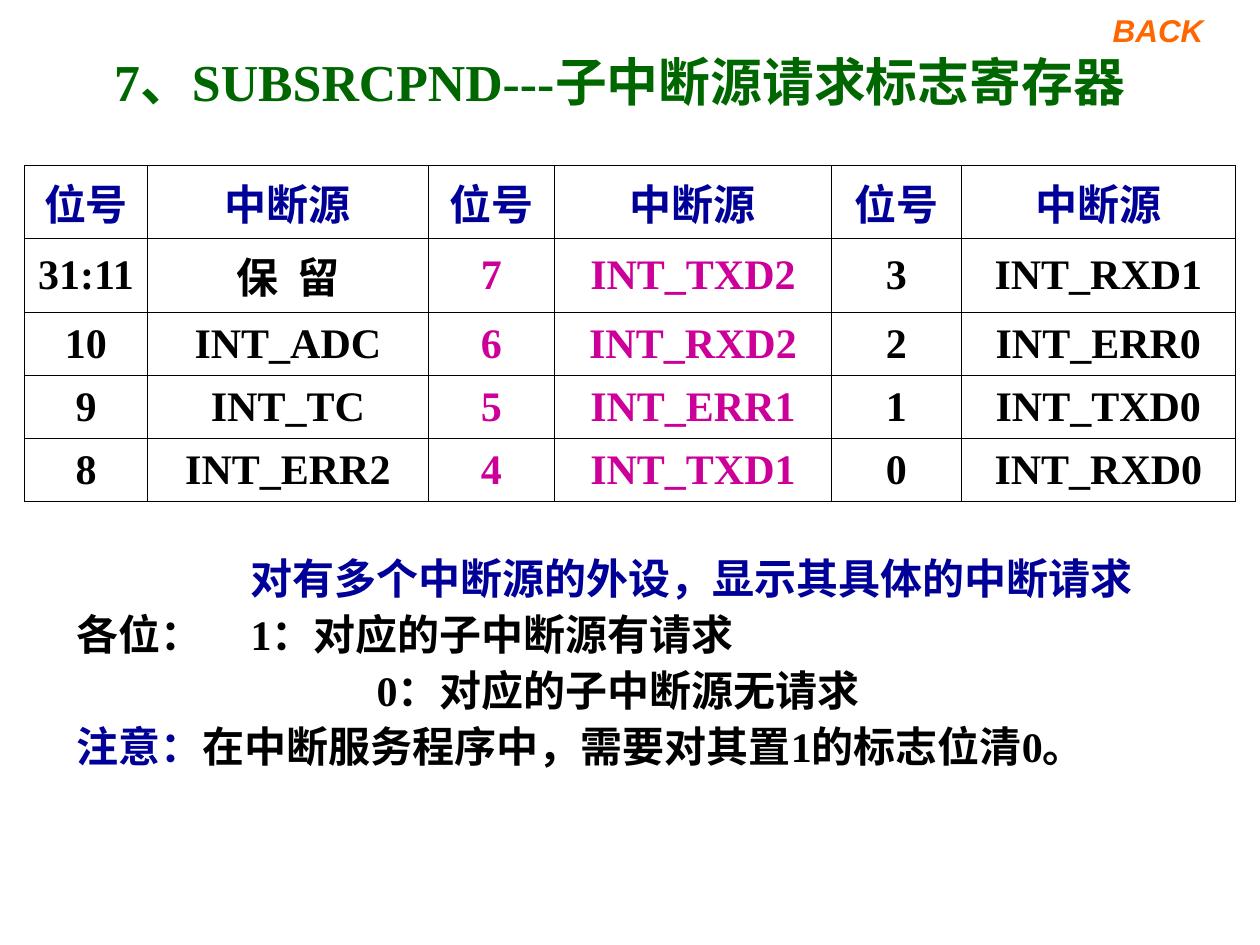
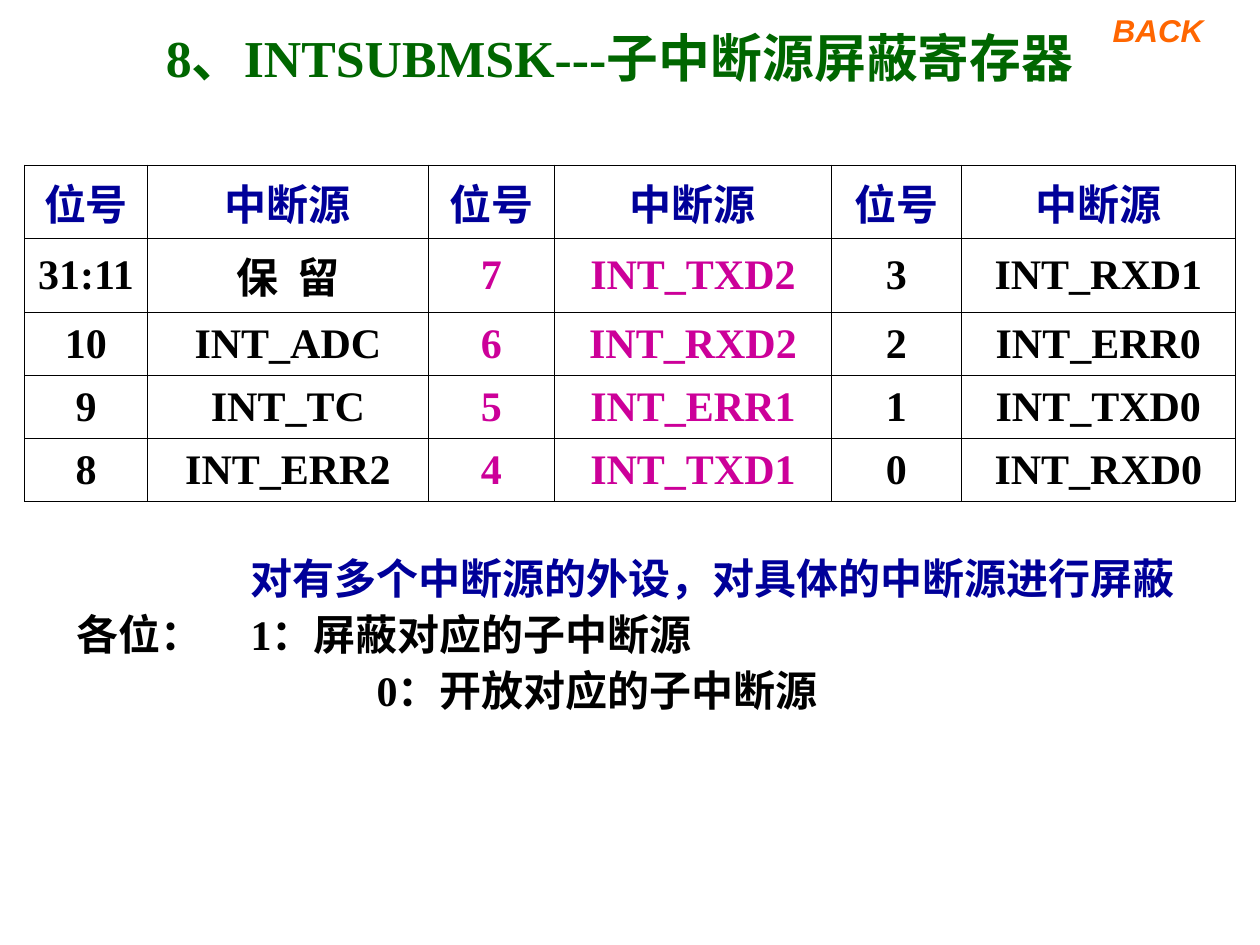
from lxml.etree import SubElement
from pptx import Presentation
from pptx.dml.color import RGBColor
from pptx.enum.text import MSO_ANCHOR as Anchor, MSO_AUTO_SIZE as AutoSize, PP_ALIGN as Align
from pptx.oxml.ns import qn
from pptx.util import Emu, Inches, Pt

WIDTH, HEIGHT = Inches(10), Inches(7.5)
GREEN, NAVY, MAGENTA, ORANGE, BLACK = "006600", "000099", "CC0099", "FF6600", "000000"
SERIF, SANS = "Times New Roman", "Arial"
HANGING, TAB_STEP = 0.38, 1

BIT_COLUMNS = [9.75, 22.3, 10, 22, 10.3, 21.75]
ROW_HEIGHT = 6.69
BIT_GROUPS = [
    (BLACK, [("31:11", "保  留"), ("10", "INT_ADC"), ("9", "INT_TC"), ("8", "INT_ERR2")]),
    (MAGENTA, [("7", "INT_TXD2"), ("6", "INT_RXD2"), ("5", "INT_ERR1"), ("4", "INT_TXD1")]),
    (BLACK, [("3", "INT_RXD1"), ("2", "INT_ERR0"), ("1", "INT_TXD0"), ("0", "INT_RXD0")]),
]

REGISTERS = [
    ("7、SUBSRCPND---子中断源请求标志寄存器", 5.33, [
        [("\t\t对有多个中断源的外设，显示其具体的中断请求", NAVY)],
        [("各位：\t1：对应的子中断源有请求", BLACK)],
        [("\t\t\t0：对应的子中断源无请求", BLACK)],
        [("注意：", NAVY), ("在中断服务程序中，需要对其置1的标志位清0。", BLACK)],
    ]),
    ("8、INTSUBMSK---子中断源屏蔽寄存器", 2.8, [
        [("\t\t对有多个中断源的外设，对具体的中断源进行屏蔽", NAVY)],
        [("各位：\t1：屏蔽对应的子中断源", BLACK)],
        [("\t\t\t0：开放对应的子中断源", BLACK)],
    ]),
]


def rgb(color):
    return RGBColor.from_string(color)


def across(columns):
    return Emu(round(WIDTH * columns / 100))


def down(rows):
    return Emu(round(HEIGHT * rows / 100))


def place(shape, left, top, width, height):
    shape.left, shape.top = across(left), down(top)
    shape.width, shape.height = across(width), down(height)


def write(paragraph, text, color=BLACK, size=24, font=SERIF, italic=False,
          align=None, spacing=None, before=None):
    run = paragraph.add_run()
    run.text = text
    run.font.name, run.font.size = font, Pt(size)
    run.font.bold, run.font.italic = True, italic
    run.font.color.rgb = rgb(color)
    if align is not None:
        paragraph.alignment = align
    if spacing is not None:
        paragraph.line_spacing = spacing
    if before is not None:
        paragraph.space_before = Pt(before)


def hang(paragraph):
    properties = paragraph._p.get_or_add_pPr()
    properties.set("marL", str(Inches(HANGING)))
    properties.set("indent", str(-Inches(HANGING)))
    properties.set("defTabSz", str(Inches(TAB_STEP)))
    SubElement(properties, qn("a:buNone"))


def prepare(frame, wrap=True):
    frame.word_wrap, frame.auto_size = wrap, AutoSize.NONE
    frame.vertical_anchor = Anchor.TOP


def add_heading(slide, heading, top):
    title = slide.shapes.title
    place(title, 4.3, top, 89.8, 8.4)
    prepare(title.text_frame)
    paragraph = title.text_frame.paragraphs[0]
    write(paragraph, heading, GREEN, 29.6, align=Align.CENTER, spacing=0.9, before=8)
    hang(paragraph)


def add_explanation(slide, lines):
    body = slide.placeholders[1]
    place(body, 5.1, 58.4, 92.1, 36.8)
    frame = body.text_frame
    prepare(frame)
    for index, line in enumerate(lines):
        paragraph = frame.add_paragraph() if index else frame.paragraphs[0]
        for text, color in line:
            write(paragraph, text, color, spacing=0.9, before=6)
        hang(paragraph)


def outline(cell):
    properties = cell._tc.get_or_add_tcPr()
    for position, side in enumerate(("lnL", "lnR", "lnT", "lnB")):
        border = SubElement(properties, qn(f"a:{side}"), w=str(Pt(0.45)))
        fill = SubElement(border, qn("a:solidFill"))
        SubElement(fill, qn("a:srgbClr"), val=BLACK)
        properties.insert(position, border)


def fill_cell(cell, text, color):
    cell.vertical_anchor = Anchor.MIDDLE
    cell.fill.background()
    outline(cell)
    write(cell.text_frame.paragraphs[0], text, color, align=Align.CENTER)


def add_bit_table(slide):
    row_count = 1 + len(BIT_GROUPS[0][1])
    bits = slide.shapes.add_table(
        row_count, len(BIT_COLUMNS), across(1.95), down(17.47),
        across(sum(BIT_COLUMNS)), down(ROW_HEIGHT * row_count)).table
    bits.first_row = bits.horz_banding = False
    for column, width in zip(bits.columns, BIT_COLUMNS):
        column.width = across(width)
    for row in bits.rows:
        row.height = down(ROW_HEIGHT)
    for group, (color, sources) in enumerate(BIT_GROUPS):
        for row, pair in enumerate([("位号", "中断源")] + sources):
            for offset, text in enumerate(pair):
                fill_cell(bits.cell(row, 2 * group + offset), text, color if row else NAVY)


def add_back_label(slide):
    label = slide.shapes.add_textbox(across(87.4), down(-3.47), across(9.4), down(9.2))
    frame = label.text_frame
    prepare(frame, wrap=False)
    frame.margin_left = frame.margin_right = Inches(0.09)
    write(frame.paragraphs[0], "BACK", ORANGE, 18, SANS, italic=True,
          align=Align.LEFT, spacing=2.0)


def main():
    deck = Presentation()
    deck.slide_width, deck.slide_height = WIDTH, HEIGHT
    for heading, heading_top, lines in REGISTERS:
        slide = deck.slides.add_slide(deck.slide_layouts[1])
        add_heading(slide, heading, heading_top)
        add_explanation(slide, lines)
        add_bit_table(slide)
        add_back_label(slide)
    deck.save("out.pptx")


if __name__ == "__main__":
    main()
